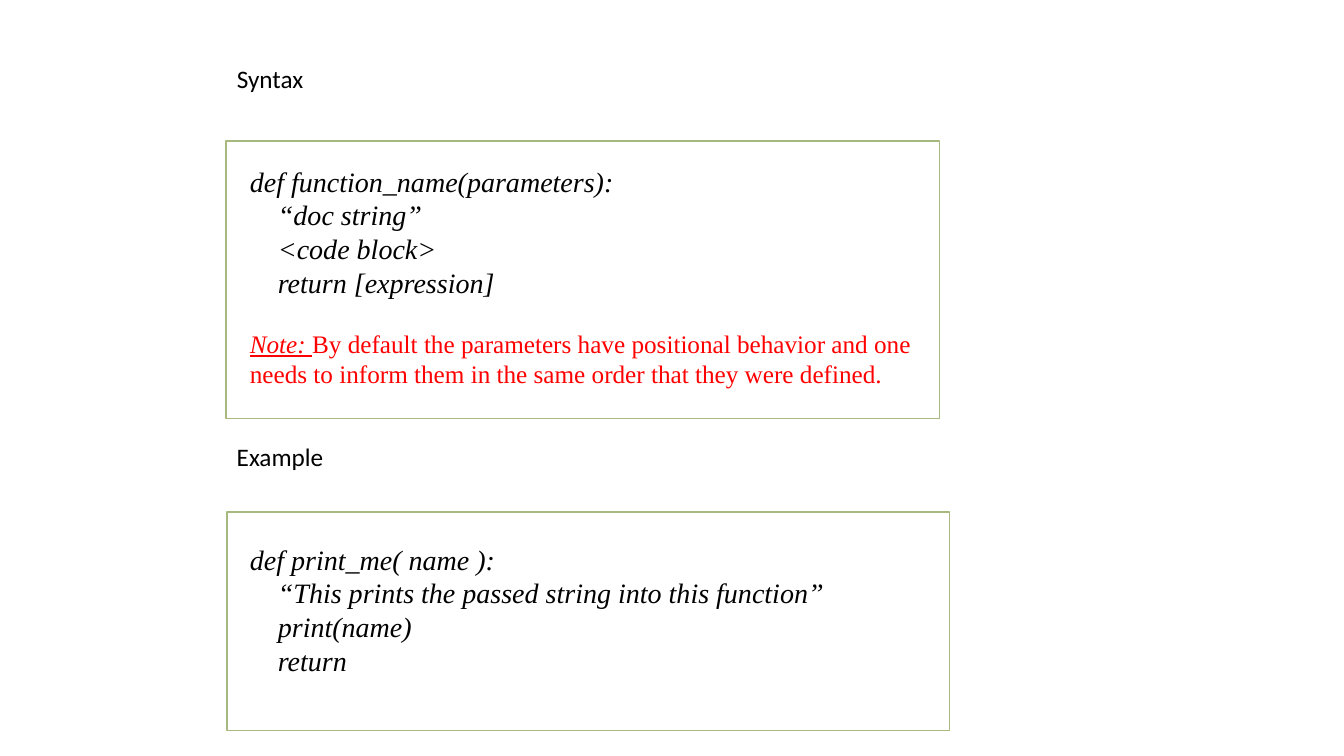
"""Build a slide showing the syntax and an example of a Python function."""
from pptx import Presentation
from pptx.dml.color import RGBColor
from pptx.enum.shapes import MSO_SHAPE
from pptx.util import Pt

RECTANGLE = MSO_SHAPE.RECTANGLE
PX = 9144
COLORS = {"paper": "FFFFFF", "ink": "000000", "note": "FF0000", "border": "A8B97F"}
HEADING = {"name": "Calibri", "size": Pt(18)}
CODE = {"name": "Times New Roman", "size": Pt(20), "italic": True}
NOTE = {"name": "Times New Roman", "size": Pt(18)}
NOTE_LABEL = {**NOTE, "italic": True, "underline": True}

SECTIONS = [
    ("Syntax", (225, 58, 225, 40), (224, 140, 708, 275), (238, 158, 683, 236),
     ["def function_name(parameters):", "“doc string”", "<code block>",
      "return [expression]"]),
    ("Example", (225, 433, 204, 40), (225, 508, 717, 217), (238, 533, 683, 145),
     ["def print_me( name ):", "“This prints the passed string into this function”",
      "print(name)", "return"]),
]


def add_text_frame(box):
    frame = slide.shapes.add_textbox(*[n * PX for n in box]).text_frame
    frame.word_wrap = True
    return frame


def add_run(paragraph, text, style, color="ink"):
    run = paragraph.add_run()
    run.text = text
    for attribute, value in style.items():
        setattr(run.font, attribute, value)
    run.font.color.rgb = RGBColor.from_string(COLORS[color])


prs = Presentation()
prs.slide_width, prs.slide_height = 1333 * PX, 750 * PX
slide = prs.slides.add_slide(prs.slide_layouts[6])

listings = {}
for title, title_box, panel_box, code_box, code_lines in SECTIONS:
    add_run(add_text_frame(title_box).paragraphs[0], title, HEADING)

    panel = slide.shapes.add_shape(RECTANGLE, *[n * PX for n in panel_box])
    panel.shadow.inherit = False
    panel.fill.solid()
    panel.fill.fore_color.rgb = RGBColor.from_string(COLORS["paper"])
    panel.line.color.rgb = RGBColor.from_string(COLORS["border"])
    panel.line.width = Pt(1)

    listing = listings[title] = add_text_frame(code_box)
    for index, code in enumerate(code_lines):
        line = listing.add_paragraph() if index else listing.paragraphs[0]
        if index:
            line._p.get_or_add_pPr().set("marL", str(Pt(20)))
        add_run(line, code, CODE)

note = listings["Syntax"].add_paragraph()
note.space_before = Pt(21)
add_run(note, "Note: ", NOTE_LABEL, "note")
add_run(note, "By default the parameters have positional behavior and one needs to "
        "inform them in the same order that they were defined.", NOTE, "note")

prs.save("out.pptx")
